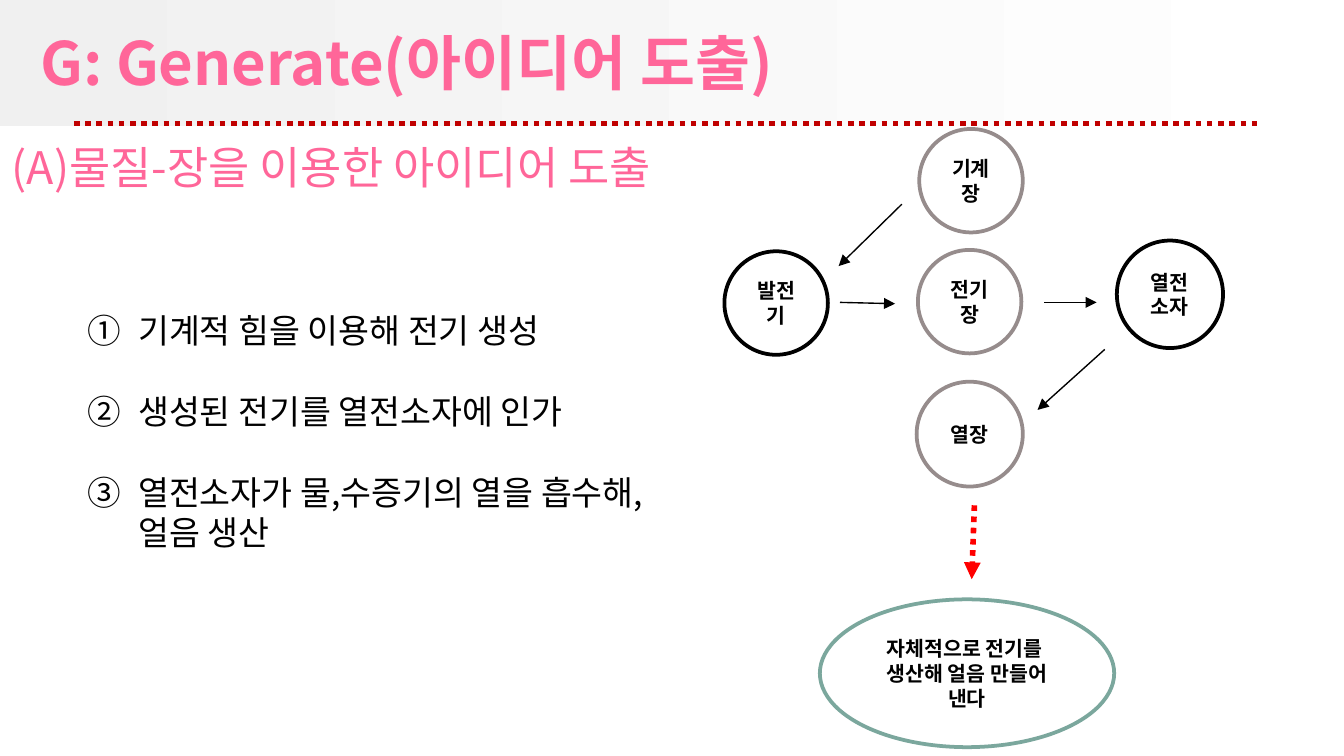
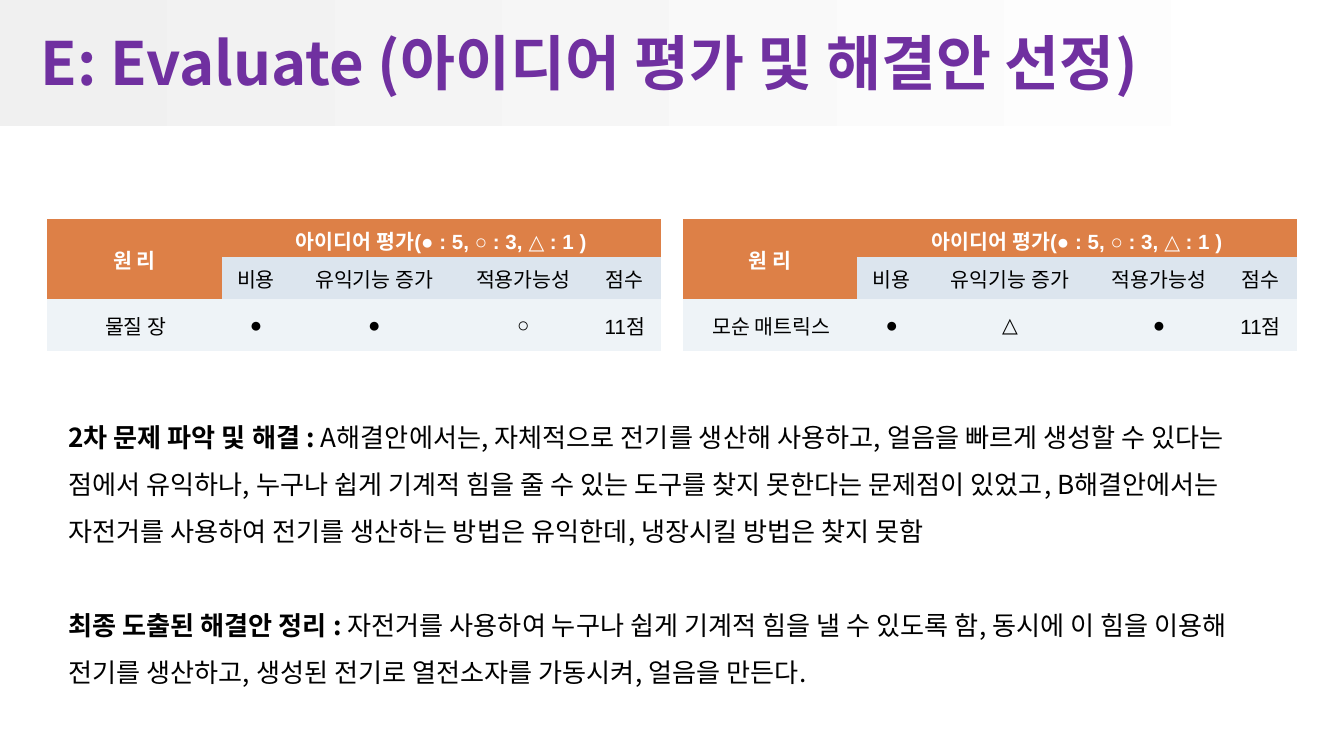
import pptx
import pptx.util
import pptx.dml.color
import pptx.enum.dml
import pptx.enum.shapes
import pptx.enum.text
import pptx.oxml.ns
import lxml.etree

Inches = pptx.util.Inches
Pt = pptx.util.Pt
RGBColor = pptx.dml.color.RGBColor
MSO_SHAPE = pptx.enum.shapes.MSO_SHAPE
MSO_ANCHOR = pptx.enum.text.MSO_ANCHOR
MSO_AUTO_SIZE = pptx.enum.text.MSO_AUTO_SIZE
PP_ALIGN = pptx.enum.text.PP_ALIGN
qn = pptx.oxml.ns.qn

COLORS = {
    "black": "000000", "white": "FFFFFF", "band": "F0F0F0",
    "pink": "FF6699", "purple": "7030A0", "rule": "C00000",
    "field": "968C8C", "result": "7BA79D", "red": "FF0000",
    "header": "DD8047", "criteria": "DCE5EE", "scores": "EEF3F7",
}
RGB = {name: RGBColor.from_string(value) for name, value in COLORS.items()}
KOREAN_FONT = "Noto Sans CJK KR"


def add_span(para, text, size, color="black", bold=False, font=KOREAN_FONT):
    """Append formatted text, with the Korean font for East Asian letters."""
    span = para.add_run()
    span.text = text
    for name, value in {"size": Pt(size), "bold": bold, "name": font}.items():
        setattr(span.font, name, value)
    span.font.color.rgb = RGB[color]
    lxml.etree.SubElement(span._r.rPr, qn("a:ea"), typeface=KOREAN_FONT)


def add_line(slide, start, end, color, width, dotted=False, arrow=True):
    line = slide.shapes.add_connector(
        pptx.enum.shapes.MSO_CONNECTOR.STRAIGHT, *map(Inches, start + end))
    line.line.color.rgb = RGB[color]
    line.line.width = Pt(width)
    if dotted:
        line.line.dash_style = pptx.enum.dml.MSO_LINE.ROUND_DOT
    if arrow:
        lxml.etree.SubElement(line.line._ln, qn("a:tailEnd"), type="triangle")
    lxml.etree.SubElement(line._element.spPr, qn("a:effectLst"))


deck = pptx.Presentation()
deck.slide_width = Inches(10)
deck.slide_height = deck.slide_width * 9 // 16
layout = deck.slide_layouts[5]

# Slides with their titles
slides = []
for text, width, color in [
    ("G: Generate(아이디어 도출)", 6, "pink"),
    ("E: Evaluate (아이디어 평가 및 해결안 선정)", 8.8, "purple"),
]:
    slide = deck.slides.add_slide(layout)
    title = slide.shapes.title
    place = {"left": 0.2, "top": 0.16, "width": width, "height": 0.59}
    for name, value in place.items():
        setattr(title, name, Inches(value))
    frame = title.text_frame
    for name, value in {"word_wrap": False, "auto_size": MSO_AUTO_SIZE.NONE,
                        "vertical_anchor": MSO_ANCHOR.MIDDLE}.items():
        setattr(frame, name, value)
    frame.paragraphs[0].alignment = PP_ALIGN.LEFT
    add_span(frame.paragraphs[0], text, 32, color, bold=True)
    slides.append(slide)
generate, evaluate = slides

# Gradient band, moved to the layout so that both slides share it
band = generate.shapes.add_shape(
    MSO_SHAPE.RECTANGLE, 0, 0, Inches(9.96), Inches(0.94))
band.shadow.inherit = False
band.line.fill.background()
band.fill.gradient()
band.fill.gradient_angle = 0
for stop, position, color in zip(band.fill.gradient_stops, (0, 1), ("band", "white")):
    stop.position = position
    stop.color.rgb = RGB[color]
layout.shapes._spTree.insert(2, band._element)

# Slide 1: subtitle and numbered steps
box = generate.shapes.add_textbox(
    Inches(-0.02), Inches(0.99), Inches(4.97), Inches(0.5))
box.text_frame.word_wrap = True
box.text_frame.paragraphs[0].alignment = PP_ALIGN.CENTER
add_span(box.text_frame.paragraphs[0], "(A)물질-장을 이용한 아이디어 도출", 24, "pink")

box = generate.shapes.add_textbox(
    Inches(0.55), Inches(2.26), Inches(4.53), Inches(2.52))
frame = box.text_frame
frame.word_wrap = True
frame.margin_right = Inches(0.19)
for index, step in enumerate([
    "기계적 힘을 이용해 전기 생성",
    "생성된 전기를 열전소자에 인가",
    "열전소자가 물,수증기의 열을 흡수해, 얼음 생산",
]):
    para = frame.add_paragraph() if index else frame.paragraphs[0]
    if index:
        para.space_before = Pt(21.6)
    add_span(para, step, 18)
    properties = para._p.get_or_add_pPr()
    properties.set("marL", str(Inches(0.38)))
    properties.set("indent", str(-Inches(0.38)))
    lxml.etree.SubElement(properties, qn("a:buAutoNum"), type="circleNumDbPlain")

# Slide 1: diagram of substances, fields and the result
for lines, left, top, width, height, color in [
    (["열전소자"], 8.31, 1.79, 0.79, 0.8, "black"),
    (["기계장"], 6.84, 0.96, 0.77, 0.77, "field"),
    (["발전기"], 5.39, 1.87, 0.77, 0.77, "black"),
    (["전기장"], 6.83, 1.86, 0.77, 0.77, "field"),
    (["열장"], 6.82, 2.84, 0.79, 0.78, "field"),
    (["자체적으로 전기를 ", "생산해 얼음 만들어", "낸다"], 6.1, 4.46, 2.19, 1.1, "result"),
]:
    node = generate.shapes.add_shape(
        MSO_SHAPE.OVAL, *map(Inches, (left, top, width, height)))
    node.shadow.inherit = False
    node.fill.solid()
    node.fill.fore_color.rgb = RGB["white"]
    node.line.color.rgb = RGB[color]
    node.line.width = Pt(2)
    frame = node.text_frame
    frame.word_wrap = True
    frame.vertical_anchor = MSO_ANCHOR.MIDDLE
    for index, text in enumerate(lines):
        para = frame.add_paragraph() if index else frame.paragraphs[0]
        para.alignment = PP_ALIGN.CENTER
        add_span(para, text, 11, bold=True)

add_line(generate, (0.55, 0.92), (9.38, 0.92), "rule", 3, dotted=True, arrow=False)
for start, end in [
    ((6.71, 1.52), (6.24, 1.98)),
    ((6.25, 2.25), (6.66, 2.26)),
    ((7.77, 2.25), (8.16, 2.25)),
    ((8.22, 2.6), (7.72, 3.05)),
]:
    add_line(generate, start, end, "black", 0.75)
add_line(generate, (7.25, 3.76), (7.23, 4.31), "red", 3, dotted=True)

# Slide 2: conclusions
box = evaluate.shapes.add_textbox(
    Inches(0.41), Inches(2.97), Inches(9.18), Inches(2.57))
frame = box.text_frame
frame.word_wrap = True
frame.margin_right = Inches(0.2)
for index, (heading, text) in enumerate([
    ("2차 문제 파악 및 해결 : ",
     "A해결안에서는, 자체적으로 전기를 생산해 사용하고, 얼음을 빠르게 생성할 수 "
     "있다는 점에서 유익하나, 누구나 쉽게 기계적 힘을 줄 수 있는 도구를 찾지 "
     "못한다는 문제점이 있었고, B해결안에서는 자전거를 사용하여 전기를 생산하는 "
     "방법은 유익한데, 냉장시킬 방법은 찾지 못함"),
    ("최종 도출된 해결안 정리 : ",
     "자전거를 사용하여 누구나 쉽게 기계적 힘을 낼 수 있도록 함, 동시에 이 힘을 "
     "이용해 전기를 생산하고, 생성된 전기로 열전소자를 가동시켜, 얼음을 만든다."),
]):
    para = frame.add_paragraph() if index else frame.paragraphs[0]
    para.line_spacing = 1.5
    if index:
        para.space_before = Pt(25.2)
    add_span(para, heading, 14, bold=True)
    add_span(para, text, 14)

# Slide 2: one score table for each principle
COLUMN_WIDTHS = [1.3, 0.51, 1.25, 0.97, 0.54]
ROW_HEIGHTS = [0.28, 0.31, 0.39]
ROW_FILLS = ["header", "criteria", "scores"]
for left, scores in [
    (0.35, ["물질 장", "●", "●", "○", "11점"]),
    (5.08, ["모순 매트릭스", "●", "△", "●", "11점"]),
]:
    table = evaluate.shapes.add_table(
        3, 5, Inches(left), Inches(1.63), Inches(4.57), Inches(0.98)).table
    for name in ("first_row", "horz_banding"):
        setattr(table, name, False)
    style = table._tbl.tblPr.find(qn("a:tableStyleId"))
    style.text = "{2D5ABB26-0587-4C30-8999-92F81FD0307C}"
    for column, width in zip(table.columns, COLUMN_WIDTHS):
        column.width = Inches(width)
    for row, height in zip(table.rows, ROW_HEIGHTS):
        row.height = Inches(height)
    table.cell(0, 0).merge(table.cell(1, 0))
    table.cell(0, 1).merge(table.cell(0, 4))
    rows = [
        ["원 리", "아이디어 평가(● : 5, ○ : 3, △ : 1 )", "", "", ""],
        ["", "비용", "유익기능 증가", "적용가능성", "점수"],
        scores,
    ]
    for row_index, texts in enumerate(rows):
        for column_index, text in enumerate(texts):
            cell = table.cell(row_index, column_index)
            if cell.is_spanned:
                continue
            is_name = row_index == 2 and column_index == 0
            for name, value in {
                "margin_left": 0.06 if is_name else 0.1,
                "margin_right": 0.04 if is_name else 0.1,
                "margin_top": 0.04 if is_name else 0.05,
                "margin_bottom": 0.04 if is_name else 0.05,
            }.items():
                setattr(cell, name, Inches(value))
            cell.vertical_anchor = MSO_ANCHOR.MIDDLE
            cell.fill.solid()
            cell.fill.fore_color.rgb = RGB[ROW_FILLS[row_index]]
            para = cell.text_frame.paragraphs[0]
            para.alignment = PP_ALIGN.CENTER
            is_header = row_index == 0
            add_span(para, text, 11, "white" if is_header else "black",
                     bold=is_header, font="Arial")

deck.save("out.pptx")
